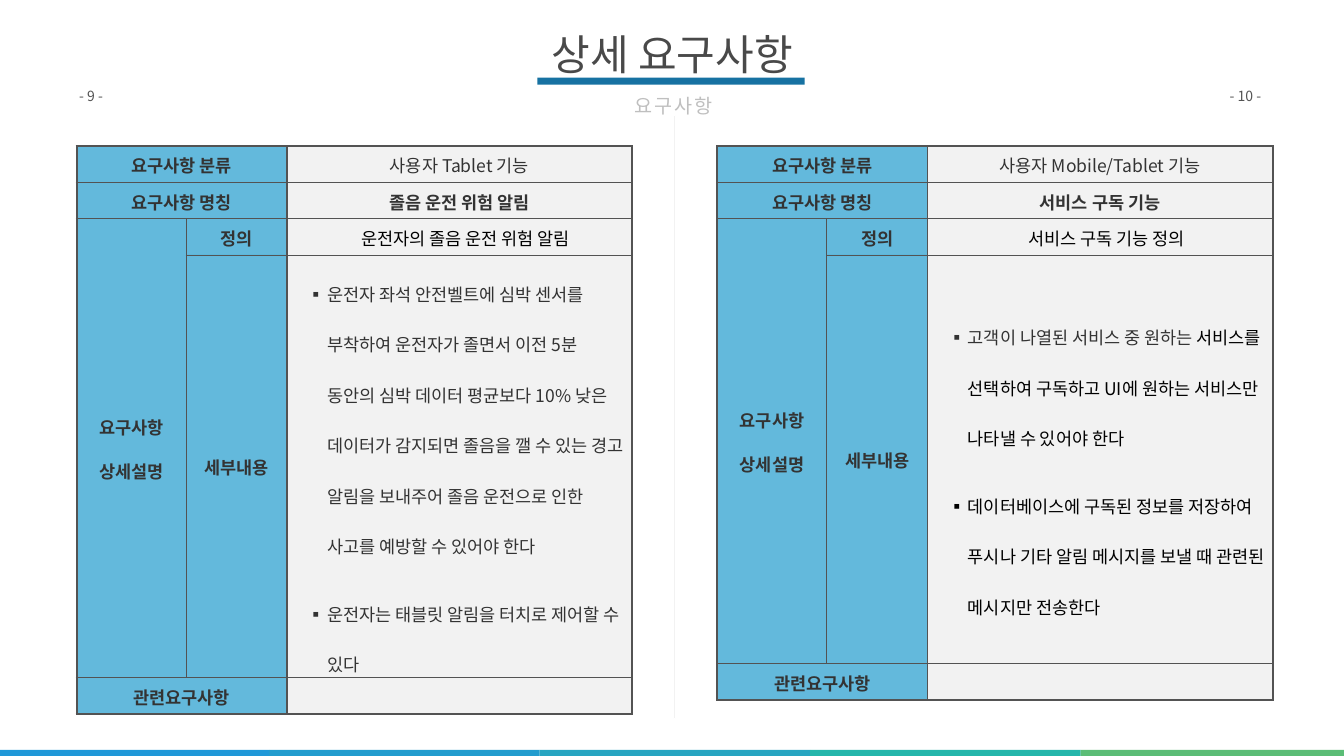
import dataclasses

import pptx
import pptx.dml.color
import pptx.enum.shapes
import pptx.enum.text
import pptx.oxml.ns
import pptx.util
from lxml import etree

Pt = pptx.util.Pt
ALIGN = pptx.enum.text.PP_ALIGN
ANCHOR = pptx.enum.text.MSO_ANCHOR
FIT = pptx.enum.text.MSO_AUTO_SIZE


@dataclasses.dataclass(frozen=True)
class Theme:
    """Holds the colours, font and type sizes."""
    font: str = "Noto Sans CJK KR"
    title_ink: str = "494949"
    subtitle_ink: str = "BFBFBF"
    page_ink: str = "535353"
    ink: str = "333333"
    black: str = "000000"
    white: str = "FFFFFF"
    border: str = "535353"
    label_fill: str = "229CCE"
    value_fill: str = "F2F2F2"
    underline: str = "1772A2"
    strip: tuple = ("1F98D8", "229CCE", "27A5C1", "24B6AB", "5BBD76")
    title_size: int = 60
    subtitle_size: int = 28
    page_size: int = 20
    table_size: int = 25


THEME = Theme()


def rgb(code):
    """Turns a hex code into a colour."""
    return pptx.dml.color.RGBColor.from_string(code)


def add_xml(parent, tag, **attributes):
    """Appends a DrawingML element."""
    return etree.SubElement(parent, pptx.oxml.ns.qn(tag), attributes)


def style(para, size, ink, bold=False, align=ALIGN.CENTER):
    """Sets the font and alignment of a paragraph."""
    para.alignment = align
    font = para.font
    font.size, font.bold, font.name = Pt(size), bold, THEME.font
    font.color.rgb = rgb(ink)
    font._element.set("kern", "0")
    add_xml(font._element, "a:ea", typeface=THEME.font)


def set_frame(frame, inset_x, inset_y, wrap=True):
    """Sets the insets, wrapping and growth of a text frame."""
    frame.margin_left = frame.margin_right = Pt(inset_x)
    frame.margin_top = frame.margin_bottom = Pt(inset_y)
    frame.word_wrap = wrap
    frame.auto_size = FIT.SHAPE_TO_FIT_TEXT


def add_block(page, box, fill, line=None):
    """Adds a plain rectangle."""
    block = page.shapes.add_shape(
        pptx.enum.shapes.MSO_SHAPE.RECTANGLE, *map(Pt, box))
    block.shadow.inherit = False
    block.fill.solid()
    block.fill.fore_color.rgb = rgb(fill)
    if line:
        block.line.color.rgb = rgb(line)
        block.line.width = Pt(1)
    else:
        block.line.fill.background()


def add_strip(page, box):
    """Fills a box with the row of coloured bars."""
    left, top, width, height = box
    step = width / len(THEME.strip)
    for index, fill in enumerate(THEME.strip):
        add_block(page, (left + index * step, top, step, height), fill)


def add_heading(page, box, title, subtitle):
    """Places the title, its underline and the subtitle."""
    left, top, width, height = box
    heading = page.shapes.title
    heading.left, heading.top = Pt(left), Pt(top)
    heading.width, heading.height = Pt(width), Pt(height)
    heading.text_frame.text = title
    heading.text_frame.vertical_anchor = ANCHOR.MIDDLE
    set_frame(heading.text_frame, 8.64, 8.64)
    style(heading.text_frame.paragraphs[0], THEME.title_size, THEME.title_ink)
    add_block(page, (left + 9.4, top + 79.2, width - 21.6, 10.1), THEME.underline)
    note = page.shapes.add_textbox(
        Pt(left + 129.6), Pt(top + 87.1), Pt(147.6), Pt(56.2))
    note.text_frame.text = subtitle
    set_frame(note.text_frame, 17.28, 8.64, wrap=False)
    para = note.text_frame.paragraphs[0]
    style(para, THEME.subtitle_size, THEME.subtitle_ink)
    para.line_spacing = 1.2
    para.font._element.set("spc", "300")


def add_page_number(page, box, number):
    """Writes a page number."""
    label = page.shapes.add_textbox(*map(Pt, box))
    label.text_frame.text = f"- {number} -"
    set_frame(label.text_frame, 3.6, 3.6)
    style(label.text_frame.paragraphs[0], THEME.page_size, THEME.page_ink,
          align=ALIGN.LEFT)


def set_borders(cell, row, column, last_row, last_column):
    """Draws heavy outer edges, a medium value divider and thin inner edges."""
    widths = {
        "L": {0: 3, 2: 2.25}.get(column, 1),
        "R": {1: 2.25, 2: 3}.get(last_column, 1),
        "T": 3 if row == 0 else 1,
        "B": 3 if last_row == 4 else 1,
    }
    properties = cell._tc.get_or_add_tcPr()
    for index, (side, width) in enumerate(widths.items()):
        line = etree.Element(pptx.oxml.ns.qn(f"a:ln{side}"), w=str(Pt(width)))
        add_xml(add_xml(line, "a:solidFill"), "a:srgbClr", val=THEME.border)
        properties.insert(index, line)


def fill_cell(cell, texts, ink=THEME.ink, bold=False, label=False,
              bullets=False, indent=(0, 0)):
    """Colours a cell and writes its paragraphs of (text, ink) spans."""
    cell.fill.solid()
    cell.fill.fore_color.rgb = rgb(THEME.label_fill if label else THEME.value_fill)
    if label:
        colour = cell._tc.tcPr.find(".//" + pptx.oxml.ns.qn("a:srgbClr"))
        add_xml(colour, "a:alpha", val="70000")
    cell.vertical_anchor = ANCHOR.MIDDLE
    cell.margin_left = cell.margin_top = cell.margin_bottom = Pt(0.72)
    cell.margin_right = Pt(8.64 if bullets else 0.72)
    for index, spans in enumerate(texts):
        frame = cell.text_frame
        para = frame.add_paragraph() if index else frame.paragraphs[0]
        para.line_spacing = 2 if bullets else 1.07
        para.space_before, para.space_after = Pt(12 if index else 0), Pt(12)
        properties = para._p.get_or_add_pPr()
        properties.set("marL", str(Pt(indent[0])))
        properties.set("indent", str(Pt(indent[1])))
        if bullets:
            add_xml(properties, "a:buFont", typeface=THEME.font)
            add_xml(properties, "a:buChar", char="▪")
        style(para, THEME.table_size, ink, bold,
              ALIGN.LEFT if bullets else ALIGN.CENTER)
        for text, span_ink in spans:
            span = para.add_run()
            span.text = text
            if span_ink != ink:
                span.font.color.rgb = rgb(span_ink)


def add_requirement(page, box, category, name, definition, details):
    """Builds one requirement table."""
    left, top, width, height = box
    grid = page.shapes.add_table(5, 3, *map(Pt, box)).table
    grid.first_row = grid.horz_banding = False
    short = 51.84
    for column, size in zip(grid.columns, (156.24, 144, width - 300.24)):
        column.width = Pt(size)
    for index, row in enumerate(grid.rows):
        row.height = Pt(height - 4 * short if index == 3 else short)
    labels = [
        (0, 0, 0, 1, ["요구사항 분류"]),
        (1, 0, 1, 1, ["요구사항 명칭"]),
        (2, 0, 3, 0, ["요구사항", "상세설명"]),
        (2, 1, 2, 1, ["정의"]),
        (3, 1, 3, 1, ["세부내용"]),
        (4, 0, 4, 1, ["관련요구사항"]),
    ]
    for row, column, last_row, last_column, lines in labels:
        cell = grid.cell(row, column)
        if (row, column) != (last_row, last_column):
            cell.merge(grid.cell(last_row, last_column))
        fill_cell(cell, [[(line, THEME.ink)] for line in lines], bold=True, label=True)
        set_borders(cell, row, column, last_row, last_column)
    values = [
        dict(texts=[[(category, THEME.ink)]]),
        dict(texts=[[(name, THEME.ink)]], bold=True, indent=(13.7, -13.7)),
        dict(texts=[[(definition, THEME.black)]], ink=THEME.black,
             indent=(33.8, -15.1)),
        dict(texts=details, ink=details[-1][-1][1], bullets=True,
             indent=(56.9, -27.4)),
        dict(texts=[]),
    ]
    for row, value in enumerate(values):
        fill_cell(grid.cell(row, 2), **value)
        set_borders(grid.cell(row, 2), row, 2, row, 2)


def main():
    """Builds and saves the deck."""
    deck = pptx.Presentation()
    deck.slide_width, deck.slide_height = Pt(1919.52), Pt(1080)
    page = deck.slides.add_slide(deck.slide_layouts[5])
    add_strip(page, (-2.16, 1071.4, 1932, 14.4))
    table_top, table_width = 208.8, 793
    add_requirement(
        page, (109.44, table_top, table_width, 811),
        "사용자 Tablet 기능", "졸음 운전 위험 알림", "운전자의 졸음 운전 위험 알림",
        [[("운전자 좌석 안전벨트에 심박 센서를 부착하여 운전자가 졸면서 이전 5분 "
           "동안의 심박 데이터 평균보다 10% 낮은 데이터가 감지되면 졸음을 깰 수 있는 "
           "경고 알림을 보내주어 졸음 운전으로 인한 사고를 예방할 수 있어야 한다",
           THEME.ink)],
         [("운전자는 태블릿 알림을 터치로 제어할 수 있다", THEME.ink)]])
    add_block(page, (961.6, 165.2, 3.6, 861.1), THEME.value_fill, THEME.white)
    add_requirement(
        page, (1024.56, table_top, table_width, 791.28),
        "사용자 Mobile/Tablet 기능", "서비스 구독 기능", "서비스 구독 기능 정의",
        [[("고객이 나열된 서비스 중 원하는", THEME.ink),
          (" 서비스를 선택하여 구독하고 UI에 원하는 서비스만 나타낼 수 있어야 한다",
           THEME.black)],
         [("데이터베이스에 구독된 정보를 저장하여 푸시나 기타 알림 메시지를 보낼 때 "
           "관련된 메시지만 전송한다", THEME.black)]])
    add_page_number(page, (109.44, 121, 51.1, 31.7), 9)
    add_page_number(page, (1752.5, 121, 64.8, 31.7), 10)
    add_heading(page, (758.2, 31.7, 403.2, 89.3), "상세 요구사항", "요구사항")
    deck.save("out.pptx")


if __name__ == "__main__":
    main()
